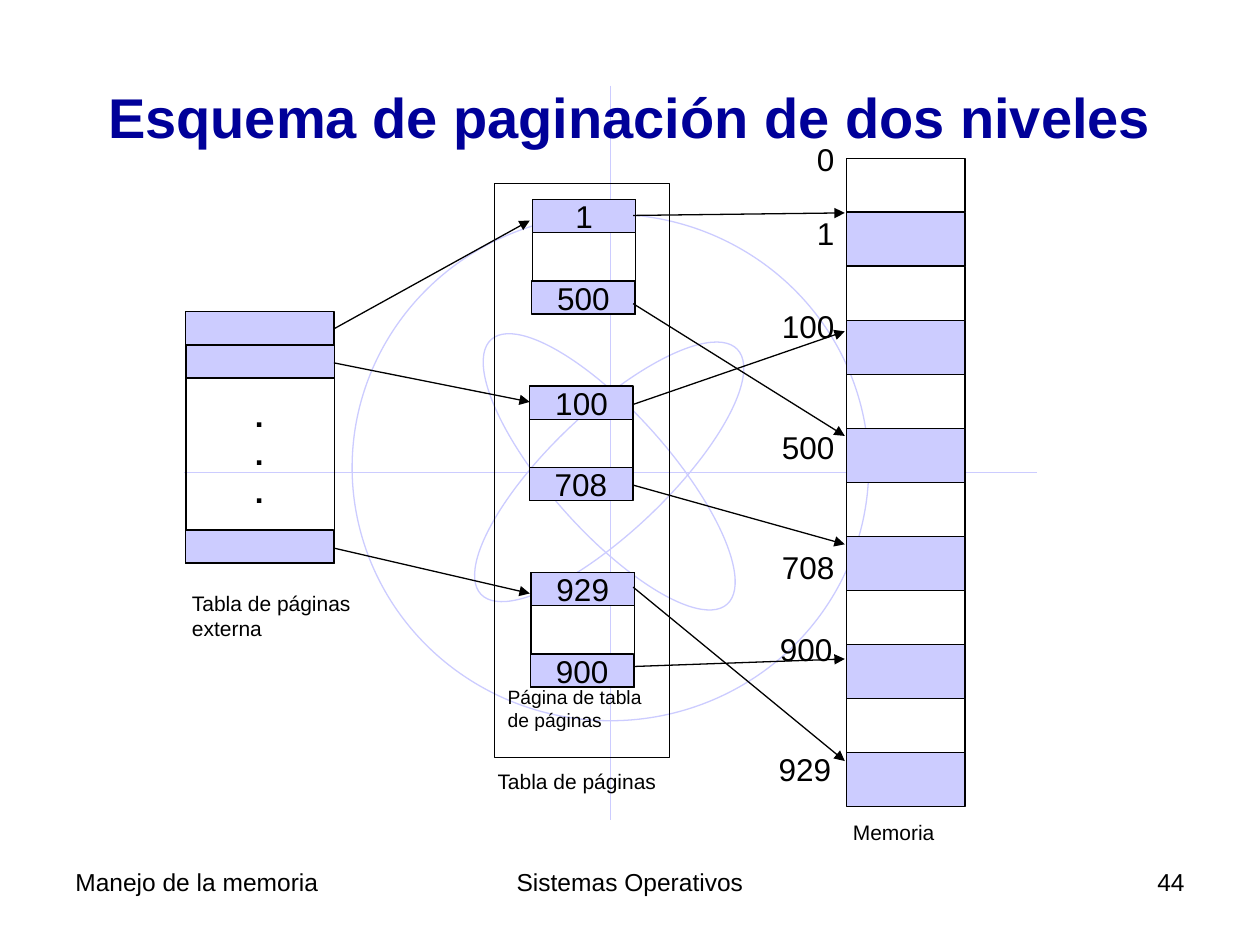
from dataclasses import dataclass

from lxml.etree import SubElement
from pptx import Presentation
from pptx.dml.color import RGBColor as RGB
from pptx.enum.shapes import MSO_CONNECTOR as CONN, MSO_SHAPE as SHAPE
from pptx.enum.text import MSO_ANCHOR as ANCHOR, PP_ALIGN as ALIGN
from pptx.oxml.ns import qn
from pptx.util import Inches, Pt


@dataclass(frozen=True)
class Theme:
    """Colours, font and type sizes of the deck."""
    font: str = "Arial"
    ink: RGB = RGB(0x00, 0x00, 0x00)
    title: RGB = RGB(0x00, 0x00, 0x99)
    tint: RGB = RGB(0xCC, 0xCC, 0xFF)
    title_size: int = 32
    entry_size: int = 18
    footer_size: int = 14
    caption_size: int = 12
    small_size: int = 11
    rule: float = 0.75


T = Theme()
COLS, ROWS = 100, 75
CELL = Inches(10) / COLS


def grid(*lengths):
    """Turn columns or rows of the slide grid into slide units."""
    return [round(n * CELL) for n in lengths]


def write(tf, lines, size, align=ALIGN.LEFT, color=T.ink, bold=False):
    """Fill a text frame, one paragraph a line."""
    for i, line in enumerate(lines):
        p = tf.add_paragraph() if i else tf.paragraphs[0]
        p.alignment = align
        r = p.add_run()
        r.text = line
        f = r.font
        f.name, f.size, f.bold, f.color.rgb = T.font, Pt(size), bold, color


def add_text(s, box, lines, size, align=ALIGN.LEFT, wrap=True, bold=False):
    """Place a text box on the grid."""
    tf = s.shapes.add_textbox(*grid(*box)).text_frame
    tf.word_wrap = wrap
    write(tf, lines, size, align, bold=bold)


def add_outline(s, kind, box, fill=None, line=T.ink, rotation=0):
    """Place a thinly outlined shape on the grid."""
    sp = s.shapes.add_shape(kind, *grid(*box))
    sp.shadow.inherit = False
    sp.rotation = rotation
    if fill is None:
        sp.fill.background()
    else:
        sp.fill.solid()
        sp.fill.fore_color.rgb = fill
    sp.line.color.rgb = line
    sp.line.width = Pt(T.rule)
    return sp


def add_entry(s, box, text=""):
    """Place a tinted table entry with an optional page number."""
    sp = add_outline(s, SHAPE.RECTANGLE, box, T.tint)
    if text:
        tf = sp.text_frame
        tf.word_wrap = False
        tf.vertical_anchor = ANCHOR.MIDDLE
        write(tf, [text], T.entry_size, ALIGN.CENTER)


def add_line(s, ends, color=T.ink, arrow=False):
    """Draw a straight line, with an arrowhead at its end if asked."""
    c = s.shapes.add_connector(CONN.STRAIGHT, *grid(*ends))
    c.line.color.rgb = color
    c.line.width = Pt(T.rule)
    if arrow:
        SubElement(c.line._get_or_add_ln(), qn("a:tailEnd"), type="triangle")
    SubElement(c._element.spPr, qn("a:effectLst"))


def draw_atom(s, box):
    """Draw the background orbits and axes around a box."""
    x, y, w, h = box
    cx, cy = x + w / 2, y + h / 2
    add_line(s, (48.44, 6.8, 48.44, 65.1), T.tint)
    add_line(s, (14.6, 37.5, 82.3, 37.5), T.tint)
    add_outline(s, SHAPE.OVAL, box, line=T.tint)
    ow, oh = w * 0.23, h * 0.7
    for angle in (46.3, 318.3):
        orbit = (cx - ow / 2 - 0.1, cy + 0.35 - oh / 2, ow, oh)
        add_outline(s, SHAPE.OVAL, orbit, line=T.tint, rotation=angle)


def draw_title(s, box, text):
    """Place the title placeholder in front of the background."""
    sp = s.shapes.title
    s.shapes._spTree.append(sp._element)
    sp.left, sp.top, sp.width, sp.height = grid(*box)
    tf = sp.text_frame
    tf.word_wrap = True
    tf.vertical_anchor = ANCHOR.MIDDLE
    write(tf, [text], T.title_size, ALIGN.CENTER, T.title, True)


def draw_outer_table(s, box):
    """Draw the outer page table with its caption."""
    x, y, w, h = box
    row = 2.63
    add_outline(s, SHAPE.RECTANGLE, box)
    for top, width in ((y + row, w), (y, w - 0.1), (y + h - row, w - 0.1)):
        add_entry(s, (x, top, width, row))
    add_text(s, (x + 4.5, y + 6.2, 2.7, 10), "...", T.entry_size,
             wrap=False, bold=True)
    add_text(s, (x - 0.5, y + h + 1.65, 15.8, 5),
             ["Tabla de páginas externa"], T.caption_size)


def draw_page_tables(s, box):
    """Draw the frame of second-level page tables and its captions."""
    x, y, w, h = box
    add_outline(s, SHAPE.RECTANGLE, box)
    pages = ((3, "1", "500"), (2.8, "100", "708"), (2.9, "929", "900"))
    for i, (inset, first, last) in enumerate(pages):
        left, top = x + inset, y + 1.3 + 14.8 * i
        add_outline(s, SHAPE.RECTANGLE, (left, top, 8.2, 9.1))
        add_entry(s, (left, top, 8.2, 2.63), first)
        add_entry(s, (left - 0.05, top + 6.45, 8.2, 2.63), last)
    add_text(s, (x + 0.05, y + 39.35, 13.2, 4.7),
             ["Página de tabla de páginas"], T.small_size)
    add_text(s, (x - 0.75, y + h + 0.35, 14.8, 3),
             ["Tabla de páginas"], T.caption_size, wrap=False)


def draw_memory(s, box):
    """Draw memory as alternating free and used frames with numbers."""
    x, y, w, h = box
    count = 12
    row = h / count
    for i in range(count):
        frame = (x, y + i * row, w, row)
        add_outline(s, SHAPE.RECTANGLE, frame, T.tint if i % 2 else None)
    labels = (("0", 0, -1.9), ("1", 0, 3.95), ("100", 0, 11.35),
              ("500", 0, 20.95), ("708", 0, 30.45), ("900", 0.15, 37),
              ("929", 0.25, 46.5))
    width = 8
    for text, inset, offset in labels:
        add_text(s, (x - width - inset, y + offset, width, 4), [text],
                 T.entry_size, ALIGN.RIGHT)
    add_text(s, (x - 0.5, y + h + 0.55, 8.5, 3), ["Memoria"],
             T.caption_size, wrap=False)


def draw_links(s, left, right, rows):
    """Draw arrows between two columns, one for each pair of rows."""
    for start, end in rows:
        add_line(s, (left, start, right, end), arrow=True)


def draw_footer(s, box):
    """Place the three footer texts along a strip."""
    x, y, w, h = box
    parts = (("Manejo de la memoria", x, 23.3, ALIGN.LEFT),
             ("Sistemas Operativos", x + (w - 31.7) / 2, 31.7, ALIGN.CENTER),
             ("44", x + w - 23.3, 23.3, ALIGN.RIGHT))
    for text, left, width, align in parts:
        add_text(s, (left, y, width, h), [text], T.footer_size, align)


def main():
    """Build the slide and save it."""
    prs = Presentation()
    prs.slide_width, prs.slide_height = grid(COLS, ROWS)
    s = prs.slides.add_slide(prs.slide_layouts[5])
    draw_atom(s, (27.95, 17, 41, 40.2))
    draw_title(s, (5, 3, 90, 12.5), "Esquema de paginación de dos niveles")
    draw_outer_table(s, (14.75, 24.75, 11.8, 19.95))
    draw_page_tables(s, (39.25, 14.55, 13.9, 45.6))
    draw_memory(s, (67.2, 12.55, 9.4, 51.45))
    draw_links(s, 26.5, 42.05, ((26.1, 17.5), (28.8, 31.9), (43.5, 47.1)))
    draw_links(s, 50.25, 67.05, ((17.1, 16.9), (24.1, 34.6), (32.1, 26.3),
                                 (38.5, 43.2), (46.6, 60.4), (52.9, 52.3)))
    draw_footer(s, (5, 68.3, 90, 5.2))
    prs.save("out.pptx")


if __name__ == "__main__":
    main()
